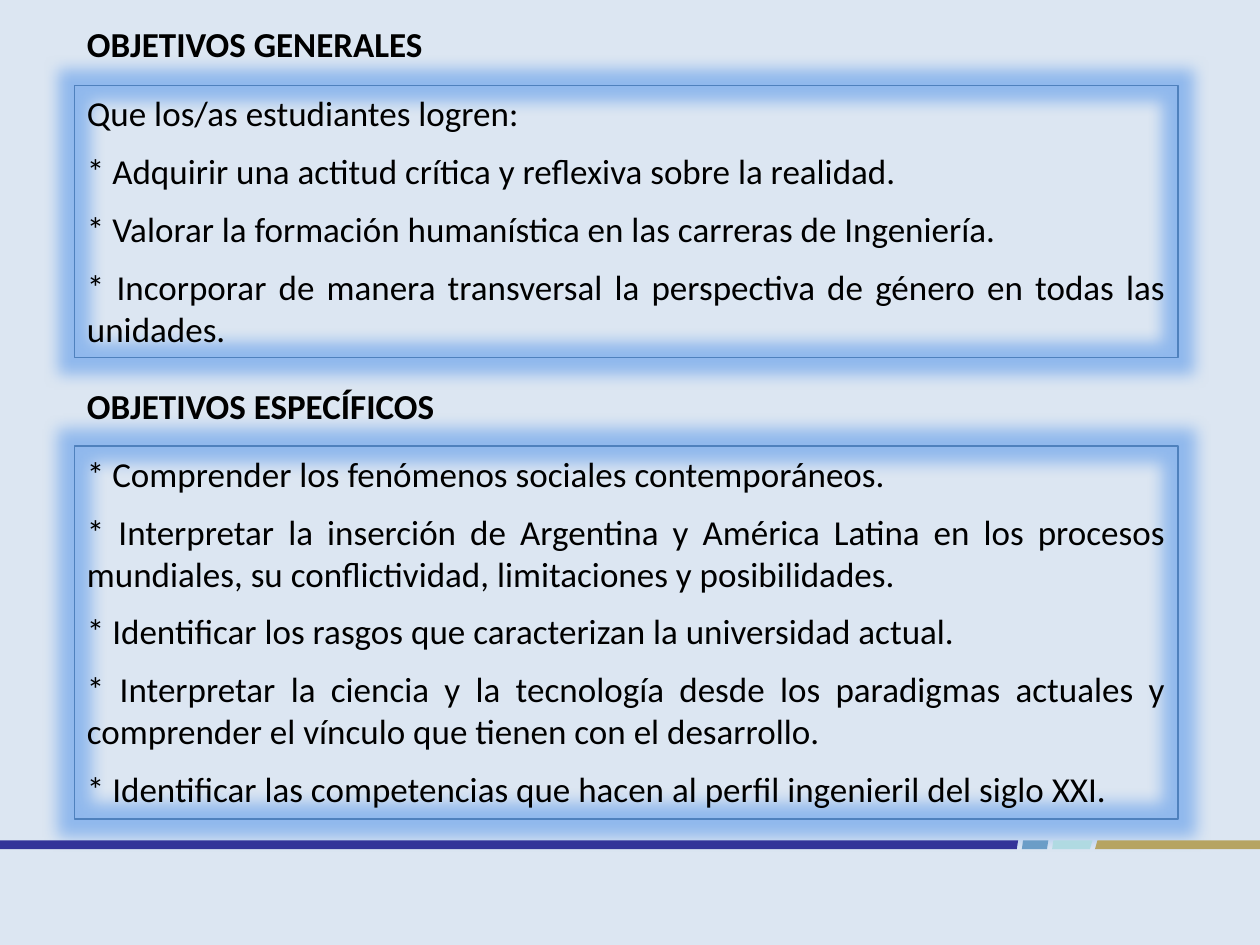
from lxml import etree
from pptx import Presentation
from pptx.dml.color import RGBColor
from pptx.enum.text import MSO_ANCHOR, MSO_AUTO_SIZE, PP_ALIGN
from pptx.oxml.ns import qn
from pptx.util import Inches, Pt

LEFT, JUSTIFY = PP_ALIGN.LEFT, PP_ALIGN.JUSTIFY
TOP = MSO_ANCHOR.TOP
NO_AUTOFIT = MSO_AUTO_SIZE.NONE
COMPARISON_LAYOUT = 4

BAND_TOP, BAND_BOTTOM = 6.67, 6.74
BAND_PARTS = [
    (8.71, 10, 8.69, 10, "B6A462"),
    (8.36, 8.67, 8.35, 8.65, "B0DAE2"),
    (8.12, 8.32, 8.11, 8.31, "6B9DC7"),
    (0, 8.08, 0, 8.07, "333399"),
]
SECTIONS = [
    {
        "heading": "OBJETIVOS GENERALES",
        "placeholders": (0, 2),
        "box": (0.59, 0.13, 8.76, 2.71),
        "items": [
            "Que los/as estudiantes logren:",
            "* Adquirir una actitud crítica y reflexiva sobre la realidad.",
            "* Valorar la formación humanística en las carreras de Ingeniería.",
            "* Incorporar de manera transversal la perspectiva de género en todas las unidades.",
        ],
    },
    {
        "heading": "OBJETIVOS ESPECÍFICOS",
        "placeholders": (3, 4),
        "box": (0.59, 3, 8.76, 3.5),
        "items": [
            "* Comprender los fenómenos sociales contemporáneos.",
            "* Interpretar la inserción de Argentina y América Latina en los procesos mundiales, "
            "su conflictividad, limitaciones y posibilidades.",
            "* Identificar los rasgos que caracterizan la universidad actual.",
            "* Interpretar la ciencia y la tecnología desde los paradigmas actuales y comprender "
            "el vínculo que tienen con el desarrollo.",
            "* Identificar las competencias que hacen al perfil ingenieril del siglo XXI.",
        ],
    },
]


def color(value):
    """Return the colour for a hex string."""
    return RGBColor.from_string(value)


def apply_format(target, values):
    """Set each attribute of the target from a dict."""
    for name, value in values.items():
        setattr(target, name, value)


def place(shape, left, top, width, height):
    """Move and size a shape in inches."""
    apply_format(shape, {
        "left": Inches(left), "top": Inches(top),
        "width": Inches(width), "height": Inches(height),
    })


def write_paragraphs(shape, texts, alignment, bold=False):
    """Fill a placeholder with unbulleted paragraphs."""
    frame = shape.text_frame
    apply_format(frame, {
        "text": "\n".join(texts), "word_wrap": True,
        "auto_size": NO_AUTOFIT, "vertical_anchor": TOP,
    })
    for index, paragraph in enumerate(frame.paragraphs):
        properties = paragraph._p.get_or_add_pPr()
        properties.set("marL", "0")
        properties.set("indent", "0")
        etree.SubElement(properties, qn("a:buNone"))
        apply_format(paragraph, {
            "alignment": alignment, "line_spacing": 1.0,
            "space_before": Pt(3 if index else 0),
            "space_after": Pt(6 if len(texts) > 1 else 0),
        })
        apply_format(paragraph.font, {"name": "Calibri", "size": Pt(20), "bold": bold})
        paragraph.font.color.rgb = color("000000")


def add_glow(shape, radius, value, alpha):
    """Surround a shape with a translucent glow."""
    effects = etree.SubElement(shape._element.spPr, qn("a:effectLst"))
    glow = etree.SubElement(effects, qn("a:glow"), rad=str(radius))
    tint = etree.SubElement(glow, qn("a:srgbClr"), val=value)
    etree.SubElement(tint, qn("a:alpha"), val=str(alpha * 1000))


def build_section(slide, section):
    """Place a heading and its framed list of goals in the section box."""
    left, top, width, height = section["box"]
    heading, goals = (
        next(shape for shape in slide.placeholders if shape.placeholder_format.idx == number)
        for number in section["placeholders"]
    )
    place(heading, left, top, 6.54, 0.44)
    write_paragraphs(heading, [section["heading"]], LEFT, bold=True)
    list_offset = 0.54 if top > 1 else 0.55
    place(goals, left, top + list_offset, width, height - list_offset)
    write_paragraphs(goals, section["items"], JUSTIFY)
    goals.fill.background()
    goals.line.color.rgb = color("4F81BD")
    goals.line.width = Pt(0.75)
    add_glow(goals, Pt(18), "1F75E6", 40)


def build_band(slide, top, bottom):
    """Draw the slanted colour band between two heights."""
    for top_left, top_right, bottom_left, bottom_right, fill in BAND_PARTS:
        builder = slide.shapes.build_freeform(Inches(top_left), Inches(top))
        corners = [(top_right, top), (bottom_right, bottom), (bottom_left, bottom)]
        builder.add_line_segments([(Inches(x), Inches(y)) for x, y in corners], close=True)
        part = builder.convert_to_shape()
        part.shadow.inherit = False
        part.fill.solid()
        part.fill.fore_color.rgb = color(fill)
        part.line.fill.background()


def build_objectives(presentation):
    """Build the slide of general and specific objectives."""
    slide = presentation.slides.add_slide(presentation.slide_layouts[COMPARISON_LAYOUT])
    slide.background.fill.solid()
    slide.background.fill.fore_color.rgb = color("DCE6F2")
    build_band(slide, BAND_TOP, BAND_BOTTOM)
    for section in SECTIONS:
        build_section(slide, section)
    for shape in list(slide.placeholders):
        if not shape.text_frame.text:
            shape._element.getparent().remove(shape._element)


def main():
    """Create and save the presentation."""
    presentation = Presentation()
    presentation.slide_width = Inches(10)
    presentation.slide_height = Inches(7.5)
    build_objectives(presentation)
    presentation.save("out.pptx")


if __name__ == "__main__":
    main()
